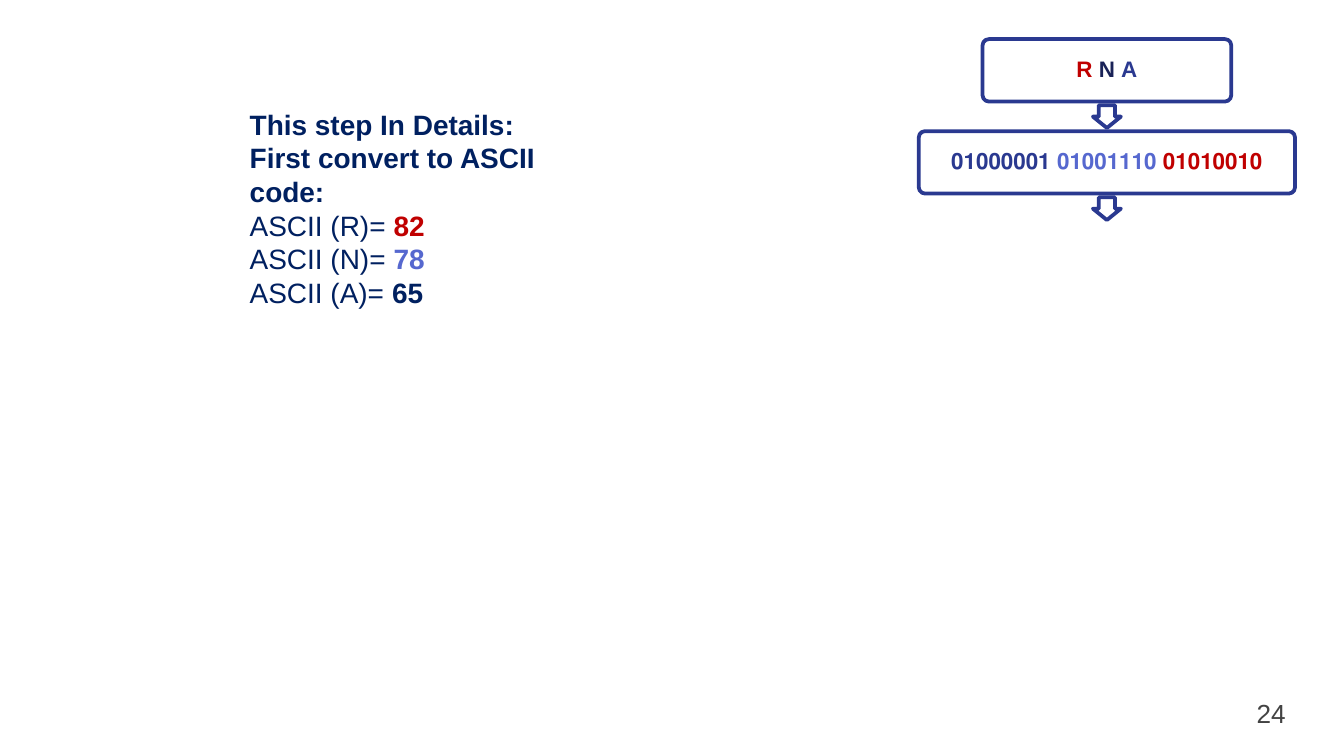
from dataclasses import dataclass

from lxml import etree
from pptx import Presentation
from pptx import util as u
from pptx.dml.color import RGBColor
from pptx.enum import shapes, text
from pptx.oxml import ns


@dataclass(frozen=True)
class Theme:
    font: str = "Arial"
    white: str = "FFFFFF"
    outline: str = "2A3990"
    dark: str = "192257"
    navy: str = "002060"
    red: str = "C00000"
    violet: str = "5668CF"
    grey: str = "434343"
    body_size: int = 15
    number_size: int = 14
    step_size: int = 12
    line_width: int = 2


class Sheet:
    """Draws the elements of one slide in the given theme."""

    def __init__(self, slide, theme):
        self.slide, self.theme = slide, theme

    def add_runs(self, paragraph, runs, size):
        for wording, color, bold in runs:
            run = paragraph.add_run()
            run.text = wording
            formats = {"name": self.theme.font, "size": u.Pt(size), "bold": bold}
            for key, value in formats.items():
                setattr(run.font, key, value)
            run.font.color.rgb = RGBColor.from_string(color)

    def frame(self, shape, inset, anchor):
        formats = {f"margin_{side}": u.Cm(inset[i % 2])
                   for i, side in enumerate(("left", "top", "right", "bottom"))}
        formats.update(word_wrap=True, vertical_anchor=anchor)
        for key, value in formats.items():
            setattr(shape.text_frame, key, value)
        return shape.text_frame

    def outlined(self, kind, center, top, width, height, adjustments):
        shape = self.slide.shapes.add_shape(
            kind, u.Cm(center - width / 2), u.Cm(top), u.Cm(width), u.Cm(height))
        for i, value in enumerate(adjustments):
            shape.adjustments[i] = value
        shape.shadow.inherit = False
        shape.fill.solid()
        shape.fill.fore_color.rgb = RGBColor.from_string(self.theme.white)
        shape.line.color.rgb = RGBColor.from_string(self.theme.outline)
        shape.line.width = u.Pt(self.theme.line_width)
        etree.SubElement(shape._element.spPr.find(ns.qn("a:ln")), ns.qn("a:round"))
        return shape

    def step(self, center, top, width, height, runs):
        box = self.outlined(shapes.MSO_SHAPE.ROUNDED_RECTANGLE,
                            center, top, width, height, [0.1])
        paragraph = self.frame(box, (0.15, 0.15), text.MSO_ANCHOR.MIDDLE).paragraphs[0]
        paragraph.alignment = text.PP_ALIGN.CENTER
        paragraph.line_spacing = 0.9
        paragraph._p.get_or_add_pPr().set("rtl", "1")
        self.add_runs(paragraph, runs, self.theme.step_size)

    def arrow(self, center, top):
        self.outlined(shapes.MSO_SHAPE.DOWN_ARROW, center, top, 0.53, 0.43, [0.57, 0.5])

    def text_box(self, area, lines, size, inset, anchor):
        box = self.slide.shapes.add_textbox(*map(u.Cm, area))
        frame = self.frame(box, inset, anchor)
        for i, runs in enumerate(lines):
            paragraph = frame.add_paragraph() if i else frame.paragraphs[0]
            self.add_runs(paragraph, runs, size)


def main():
    deck = Presentation()
    deck.slide_width, deck.slide_height = u.Cm(25.4), u.Cm(14.29)
    theme = Theme()
    sheet = Sheet(deck.slides.add_slide(deck.slide_layouts[6]), theme)

    sheet.text_box((23.5, 12.93, 1.52, 1.09), [[("24", theme.grey, False)]],
                   theme.number_size, (0.25, 0.25), text.MSO_ANCHOR.MIDDLE)

    letters = [("R ", theme.red, True), ("N ", theme.dark, True),
               ("A", theme.outline, True)]
    binary = [("01010010 ", theme.red, True), ("01001110 ", theme.violet, True),
              ("01000001", theme.outline, True)]
    flow_center, flow_top, pitch, step_height = 20.92, 0.74, 1.74, 1.18
    for i, (width, runs) in enumerate([(4.7, letters), (7.11, binary)]):
        top = flow_top + i * pitch
        sheet.step(flow_center, top, width, step_height, runs)
        sheet.arrow(flow_center, top + step_height + 0.07)

    codes = [("R", "82", theme.red), ("N", "78", theme.violet), ("A", "65", theme.navy)]
    details = [[(heading, theme.navy, True)] for heading in
               ("This step In Details:", "First convert to ASCII code:")]
    details += [[(f"ASCII ({letter})= ", theme.navy, False), (code, color, True)]
                for letter, code, color in codes]
    sheet.text_box((4.47, 1.9, 7.11, 4.11), details, theme.body_size,
                   (0.25, 0.13), text.MSO_ANCHOR.TOP)

    deck.save("out.pptx")


if __name__ == "__main__":
    main()
